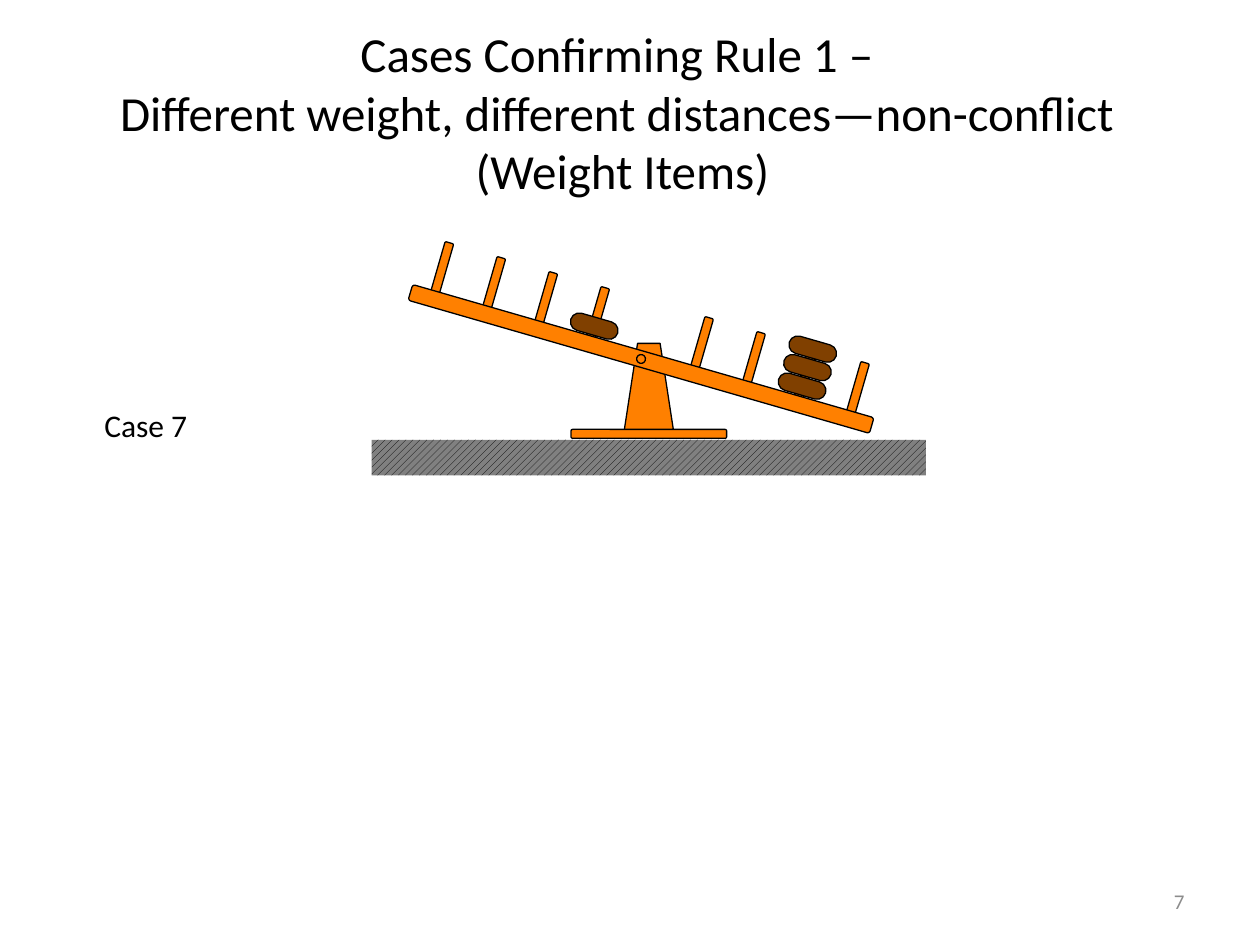
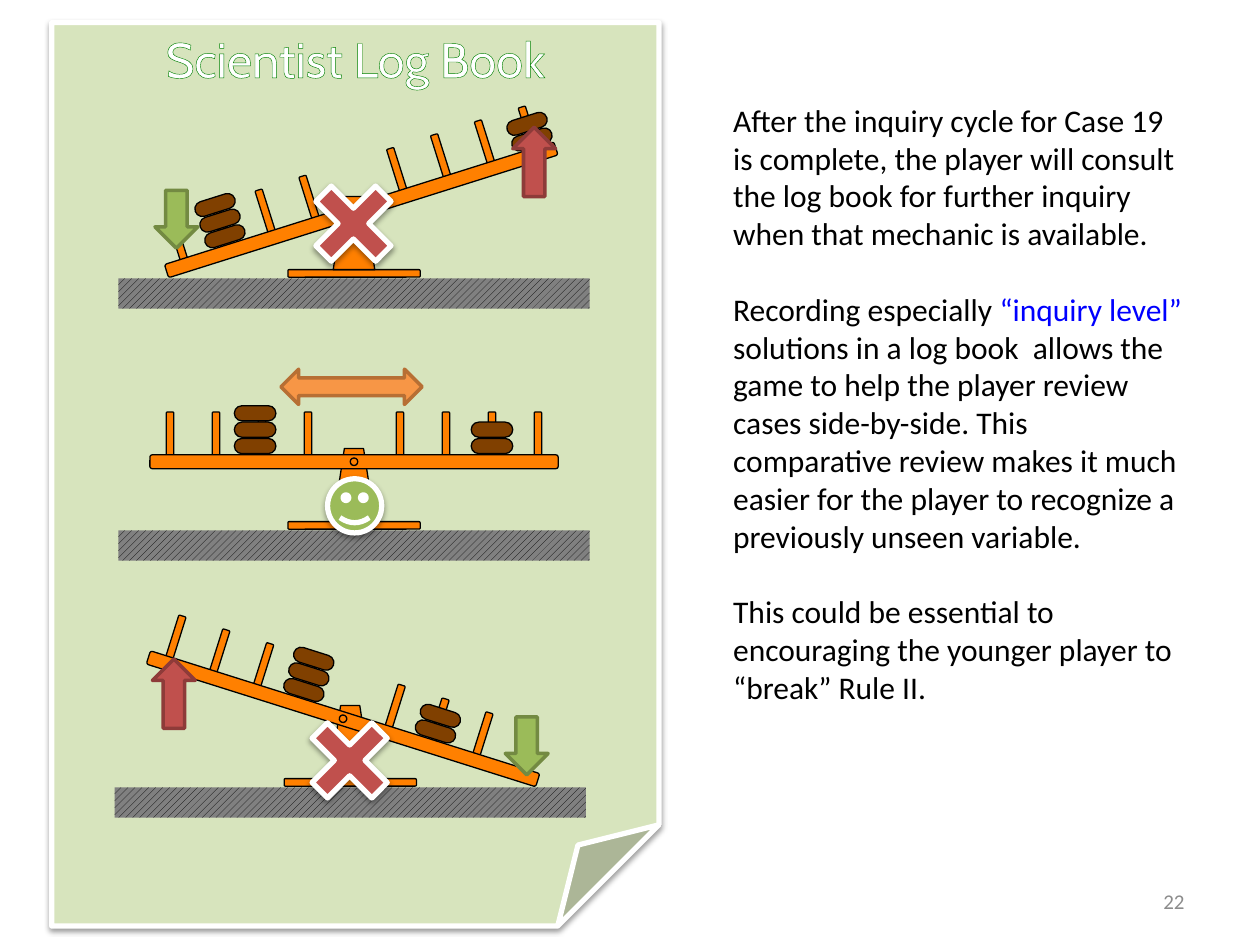
import math

import lxml.etree
import pptx
import pptx.dml.color
import pptx.enum.dml
import pptx.enum.shapes
import pptx.enum.text
import pptx.util
from pptx.oxml.ns import qn

Inches, Pt = pptx.util.Inches, pptx.util.Pt
RGB = pptx.dml.color.RGBColor.from_string
GEO = pptx.enum.shapes.MSO_SHAPE
ALIGN = pptx.enum.text.PP_ALIGN
ANCHOR = pptx.enum.text.MSO_ANCHOR


class Theme:
    black, white, blue, grey = "000000", "FFFFFF", "0000FF", "8C8C8C"
    wood, disc, ground = "FF8000", "804000", "808080"
    page, title_edge = "D7E4BD", "008000"
    red, red_edge = "C0504D", "8E3B39"
    green, green_edge = "9BBB59", "738A42"
    orange, orange_edge = "F79646", "B76F34"
    font, log_font = "Calibri", "Cabin"
    title, body, number = 28, 18, 12
    thin, arrow, thick = 0.75, 2, 3


def add_shape(shapes, geo, box, fill, line=None, width=Theme.thin, rot=0, adj=None, shadow=False):
    """Add a preset shape; box is left, top, width, height in inches."""
    sp = shapes.add_shape(geo, *map(Inches, box))
    sp.rotation = rot
    if adj is not None:
        sp.adjustments[0] = adj
    sp.fill.solid()
    sp.fill.fore_color.rgb = RGB(fill)
    if line:
        sp.line.color.rgb = RGB(line)
        sp.line.width = Pt(width)
    else:
        sp.line.fill.background()
    sp.shadow.inherit = False
    if shadow:
        effects = sp._element.spPr.find(qn("a:effectLst"))
        outer = lxml.etree.SubElement(effects, qn("a:outerShdw"), blurRad="40000", dist="20000",
                                      dir="5400000", rotWithShape="0")
        color = lxml.etree.SubElement(outer, qn("a:srgbClr"), val=Theme.black)
        lxml.etree.SubElement(color, qn("a:alpha"), val="38000")
    return sp


def write(sp, paragraphs, size, align=ALIGN.LEFT, anchor=ANCHOR.TOP, wrap=True,
          font=Theme.font, gap=0):
    """Fill a shape with paragraphs, each a list of (text, colour) runs."""
    tf = sp.text_frame
    for name, value in {"word_wrap": wrap, "vertical_anchor": anchor}.items():
        setattr(tf, name, value)
    for i, runs in enumerate(paragraphs):
        p = tf.add_paragraph() if i else tf.paragraphs[0]
        p.alignment = align
        p.space_before = Pt(gap if i else 0)
        for text, color in runs:
            for j, part in enumerate(text.split("\n")):
                if j:
                    p.add_line_break()
                r = p.add_run()
                r.text = part
                for name, value in {"name": font, "size": Pt(size)}.items():
                    setattr(r.font, name, value)
                r.font.color.rgb = RGB(color)


prs = pptx.Presentation()
prs.slide_width, prs.slide_height = Inches(10), Inches(7.5)
case_slide, log_slide = [prs.slides.add_slide(prs.slide_layouts[6]) for _ in range(2)]

# Page numbers
for s, number in ((case_slide, "7"), (log_slide, "22")):
    sp = s.shapes.add_textbox(*map(Inches, (8.61, 6.95, 0.89, 0.4)))
    write(sp, [[(number, Theme.grey)]], Theme.number, ALIGN.RIGHT, ANCHOR.MIDDLE)

# Case slide: title and label
title = ("Cases Confirming Rule 1 – \n"
         "Different weight, different distances—non-conflict \n(Weight Items)")
sp = case_slide.shapes.add_textbox(*map(Inches, (0.11, 0.26, 9.66, 1.25)))
write(sp, [[(title, Theme.black)]], Theme.title, ALIGN.CENTER, ANCHOR.MIDDLE)
sp = case_slide.shapes.add_textbox(*map(Inches, (0.73, 3.17, 0.87, 0.4)))
write(sp, [[("Case 7", Theme.black)]], Theme.body, wrap=False)

# Log book page
sp = add_shape(log_slide.shapes, GEO.FOLDED_CORNER, (0.41, 0.18, 4.82, 7.17), Theme.page,
               Theme.white, Theme.thick, shadow=True)
write(sp, [[("Scientist Log Book", Theme.white)]], Theme.title, ALIGN.CENTER, font=Theme.log_font)
rpr = sp.text_frame.paragraphs[0].runs[0].font._element
outline = lxml.etree.Element(qn("a:ln"), w=str(Pt(Theme.thin)))
solid = lxml.etree.SubElement(outline, qn("a:solidFill"))
lxml.etree.SubElement(solid, qn("a:srgbClr"), val=Theme.title_edge)
rpr.insert(0, outline)

# Balances: slide, ground centre, ground top, scale, tilt, {peg: number of discs}
balances = [
    (case_slide, 5.15, 3.49, 1.176, 16.1, {-1: 1, 3: 3}),
    (log_slide, 2.81, 2.21, 1, -17.5, {-3: 3, 4: 2}),
    (log_slide, 2.81, 4.21, 1, 0, {-2.15: 3, 3: 2}),
    (log_slide, 2.78, 6.25, 1, 17.5, {-1: 3, 2: 2}),
]
PEG_STEP, DISC_STEP = 0.365, 0.13
for s, ground_x, ground_y, scale, tilt, discs in balances:
    shapes = s.shapes.add_group_shape().shapes
    stand = [
        (GEO.ROUNDED_RECTANGLE, -0.07, 1.05, 0.06, Theme.wood, Theme.black, 0.167),
        (GEO.TRAPEZOID, -0.65, 0.33, 0.58, Theme.wood, Theme.black, 0.269),
        (GEO.RECTANGLE, 0, 3.74, 0.24, Theme.ground, None, None),
    ]
    for geo, top, w, h, fill, line, adj in stand:
        box = (ground_x - w * scale / 2, ground_y + top * scale, w * scale, h * scale)
        sp = add_shape(shapes, geo, box, fill, line, adj=adj)
    sp.fill.patterned()
    sp.fill.pattern = pptx.enum.dml.MSO_PATTERN.WIDE_UPWARD_DIAGONAL
    sp.fill.fore_color.rgb = RGB(Theme.black)
    sp.fill.back_color.rgb = RGB(Theme.ground)

    # Parts that tilt: geometry, centre along and across the beam, size, fill, corner
    bar = GEO.ROUNDED_RECTANGLE
    parts = [(bar, peg * PEG_STEP, -0.215, 0.06, 0.36, Theme.wood, 0.167)
             for peg in (-1, -2, -3, -4, 4, 3, 2, 1)]
    parts.append((bar, 0, 0, 3.24, 0.11, Theme.wood, 0.167))
    parts += [(bar, peg * PEG_STEP, -0.125 - i * DISC_STEP, 0.33, 0.12, Theme.disc, 0.5)
              for peg, count in discs.items() for i in range(count)]
    parts.append((GEO.OVAL, 0, 0, 0.06, 0.06, Theme.wood, None))
    cos, sin = math.cos(math.radians(tilt)), math.sin(math.radians(tilt))
    pivot_x = ground_x - 0.19 * sin * scale
    pivot_y = ground_y - 0.545 * scale
    for geo, along, across, w, h, fill, adj in parts:
        x = pivot_x + (along * cos - across * sin) * scale
        y = pivot_y + (along * sin + across * cos) * scale
        box = (x - w * scale / 2, y - h * scale / 2, w * scale, h * scale)
        add_shape(shapes, geo, box, fill, Theme.black, rot=tilt, adj=adj)

# Arrows on the log book
arrows = [
    (GEO.LEFT_RIGHT_ARROW, (2.23, 2.93, 1.12, 0.28), Theme.orange, Theme.orange_edge, 0),
    (GEO.UP_ARROW, (4.07, 1.01, 0.34, 0.55), Theme.red, Theme.red_edge, 0),
    (GEO.UP_ARROW, (1.23, 1.51, 0.34, 0.46), Theme.green, Theme.green_edge, 180),
    (GEO.UP_ARROW, (1.21, 5.23, 0.34, 0.55), Theme.red, Theme.red_edge, 0),
    (GEO.UP_ARROW, (4.01, 5.69, 0.34, 0.46), Theme.green, Theme.green_edge, 180),
]
for geo, box, fill, line, rot in arrows:
    add_shape(log_slide.shapes, geo, box, fill, line, Theme.arrow, rot)

# Verdict on each balance
verdicts = [
    (GEO.SMILEY_FACE, (2.6, 3.8, 0.43, 0.43), Theme.green, 0, None),
    (GEO.CROSS, (2.47, 1.44, 0.67, 0.67), Theme.red, 45, 0.371),
    (GEO.CROSS, (2.44, 5.7, 0.67, 0.67), Theme.red, 45, 0.371),
]
for geo, box, fill, rot, adj in verdicts:
    add_shape(log_slide.shapes, geo, box, fill, Theme.white, Theme.thick, rot, adj, shadow=True)

# Explanation beside the log book
explanation = [
    [("After the inquiry cycle for Case 19 is complete, the player will consult the log book "
      "for further inquiry when that mechanic is available.", Theme.black)],
    [("Recording especially ", Theme.black),
     ("“inquiry level” ", Theme.blue),
     ("solutions in a log book  allows the game to help the player review cases side-by-side. "
      "This comparative review makes it much easier for the player to recognize a previously "
      "unseen variable.", Theme.black)],
    [("This could be essential to encouraging the younger player to “break” Rule II.",
      Theme.black)],
]
sp = log_slide.shapes.add_textbox(*map(Inches, (5.72, 0.75, 3.78, 4.95)))
write(sp, explanation, Theme.body, gap=21.6)

prs.save("out.pptx")
